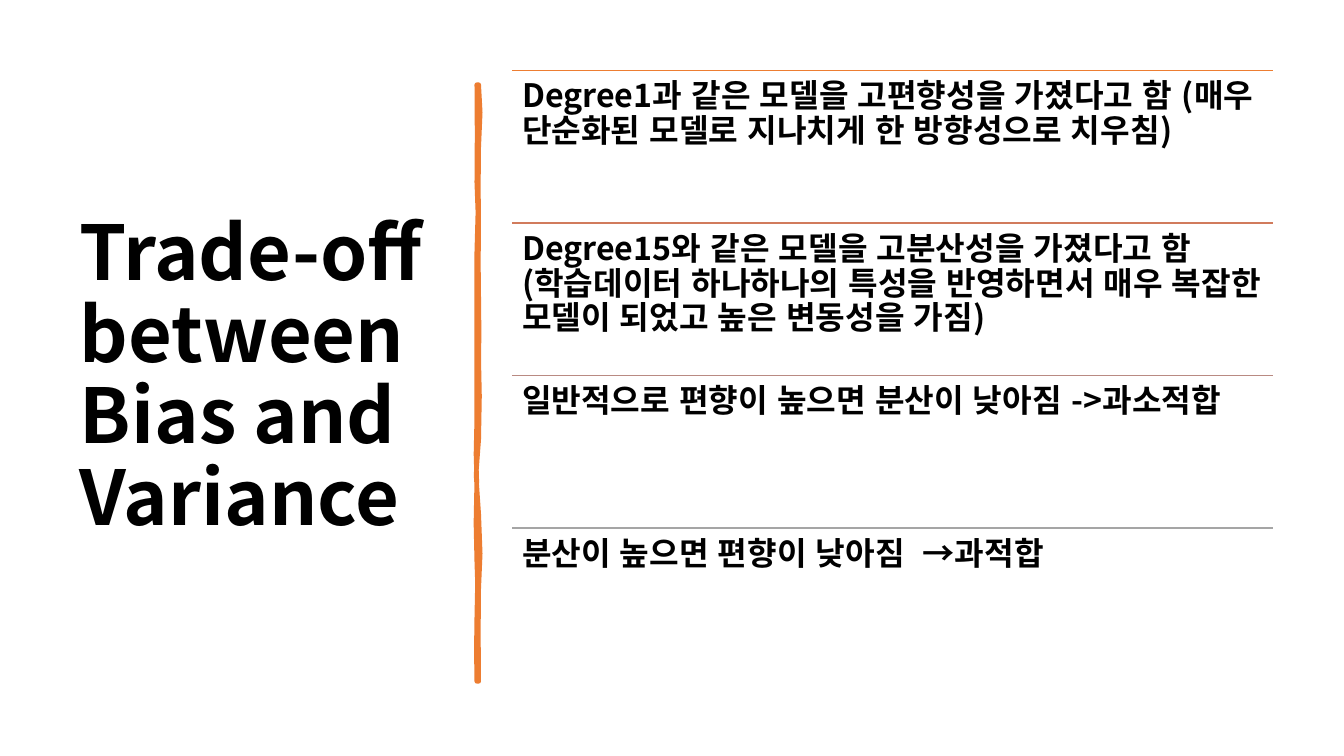
"""Build the slide on the trade-off between bias and variance."""
from lxml.etree import SubElement
from pptx import Presentation
from pptx.dml.color import RGBColor
from pptx.enum.lang import MSO_LANGUAGE_ID
from pptx.enum.shapes import MSO_CONNECTOR
from pptx.enum.text import MSO_ANCHOR
from pptx.oxml.ns import qn
from pptx.util import Pt

TITLE = "Trade-off between Bias and Variance"
STATEMENTS = [
    ("Degree1과 같은 모델을 고편향성을 가졌다고 함 (매우 단순화된 모델로 지나치게 한 방향성으로 치우침)", "rust"),
    ("Degree15와 같은 모델을 고분산성을 가졌다고 함(학습데이터 하나하나의 특성을 반영하면서 매우 복잡한 모델이 되었고 높은 변동성을 가짐)", "clay"),
    ("일반적으로 편향이 높으면 분산이 낮아짐 ->과소적합", "mauve"),
    ("분산이 높으면 편향이 낮아짐  →과적합", "gray"),
]
COLORS = {"rust": "ED7D31", "clay": "D17B5C", "mauve": "B98A82", "gray": "A5A5A5", "text": "000000"}
FONT = "Noto Sans CJK KR"

DIVIDER_START = (342, 60.5)
DIVIDER_CURVES = [
    ((343.4, 73.4), (343.4, 85.7), (342, 105.1)),
    ((340.6, 124.6), (342.7, 140.4), (342, 162.7)),
    ((341.3, 185), (342, 188.6), (342, 211.7)),
    ((341.3, 234), (343.4, 246.2), (342, 256.3)),
    ((340.6, 266.4), (344.9, 298.1), (342, 313.9)),
    ((339.1, 329), (339.8, 348.5), (342, 367.2)),
    ((343.4, 385.9), (343.4, 406.1), (342, 420.5)),
    ((340.6, 434.2), (342.7, 468), (342, 486.7)),
    ((341.3, 486.7), (340.6, 486.7), (340.6, 486.7)),
    ((341.3, 465.1), (339.1, 463.7), (340.6, 441.4)),
    ((341.3, 419.8), (341.3, 410.4), (340.6, 401)),
    ((339.8, 391.7), (339.8, 356.4), (340.6, 343.4)),
    ((340.6, 330.5), (339.1, 320.4), (340.6, 298.8)),
    ((341.3, 277.9), (339.8, 268.6), (340.6, 241.2)),
    ((341.3, 214.6), (339.8, 202.3), (340.6, 180)),
    ((341.3, 157), (342, 144), (340.6, 130.3)),
    ((338.4, 117.4), (343.4, 74.9), (340.6, 60.5)),
]
CURVE_STEPS = 2
LIST_LEFT, LIST_TOP, LIST_WIDTH, ROW_HEIGHT = 366, 50.2, 543.6, 109


def color(name):
    return RGBColor.from_string(COLORS[name])


def add_text(slide, wording, box, size, insets, anchor):
    frame = slide.shapes.add_textbox(*(Pt(length) for length in box)).text_frame
    frame.word_wrap = True
    frame.vertical_anchor = anchor
    side, end = insets
    frame.margin_left = frame.margin_right = Pt(side)
    frame.margin_top = frame.margin_bottom = Pt(end)
    paragraph = frame.paragraphs[0]
    paragraph.line_spacing = 0.9
    run = paragraph.add_run()
    run.text = wording
    run.font.size, run.font.bold, run.font.name = Pt(size), True, FONT
    run.font.color.rgb = color("text")
    run.font.language_id = MSO_LANGUAGE_ID.KOREAN
    SubElement(run.font._element, qn("a:ea"), typeface=FONT)


def curve_points():
    start = DIVIDER_START
    for first, second, end in DIVIDER_CURVES:
        for step in range(1, CURVE_STEPS + 1):
            t = step / CURVE_STEPS
            yield tuple(
                Pt((1 - t) ** 3 * a + 3 * (1 - t) ** 2 * t * b + 3 * (1 - t) * t ** 2 * c + t ** 3 * d)
                for a, b, c, d in zip(start, first, second, end)
            )
        start = end


def add_divider(slide):
    left, top = DIVIDER_START
    builder = slide.shapes.build_freeform(Pt(left), Pt(top))
    builder.add_line_segments(list(curve_points()), close=True)
    divider = builder.convert_to_shape()
    divider.shadow.inherit = False
    divider.fill.solid()
    divider.fill.fore_color.rgb = color("rust")
    divider.line.color.rgb = color("rust")
    divider.line.width = Pt(3.25)


def add_rule(slide, top, shade):
    rule = slide.shapes.add_connector(
        MSO_CONNECTOR.STRAIGHT, Pt(LIST_LEFT), Pt(top), Pt(LIST_LEFT + LIST_WIDTH), Pt(top)
    )
    rule.line.color.rgb = color(shade)
    rule.line.width = Pt(1)
    SubElement(rule._element.spPr, qn("a:effectLst"))


def main():
    deck = Presentation()
    deck.slide_width, deck.slide_height = Pt(960), Pt(540)
    slide = deck.slides.add_slide(deck.slide_layouts[6])
    add_text(slide, TITLE, (50, 50.4, 269.3, 440), 54, (7.2, 3.6), MSO_ANCHOR.MIDDLE)
    add_divider(slide)
    for index, (statement, shade) in enumerate(STATEMENTS):
        top = LIST_TOP + index * ROW_HEIGHT
        add_rule(slide, top, shade)
        add_text(slide, statement, (LIST_LEFT, top, LIST_WIDTH, ROW_HEIGHT), 23, (6.9, 6.9), MSO_ANCHOR.TOP)
    deck.save("out.pptx")


if __name__ == "__main__":
    main()
